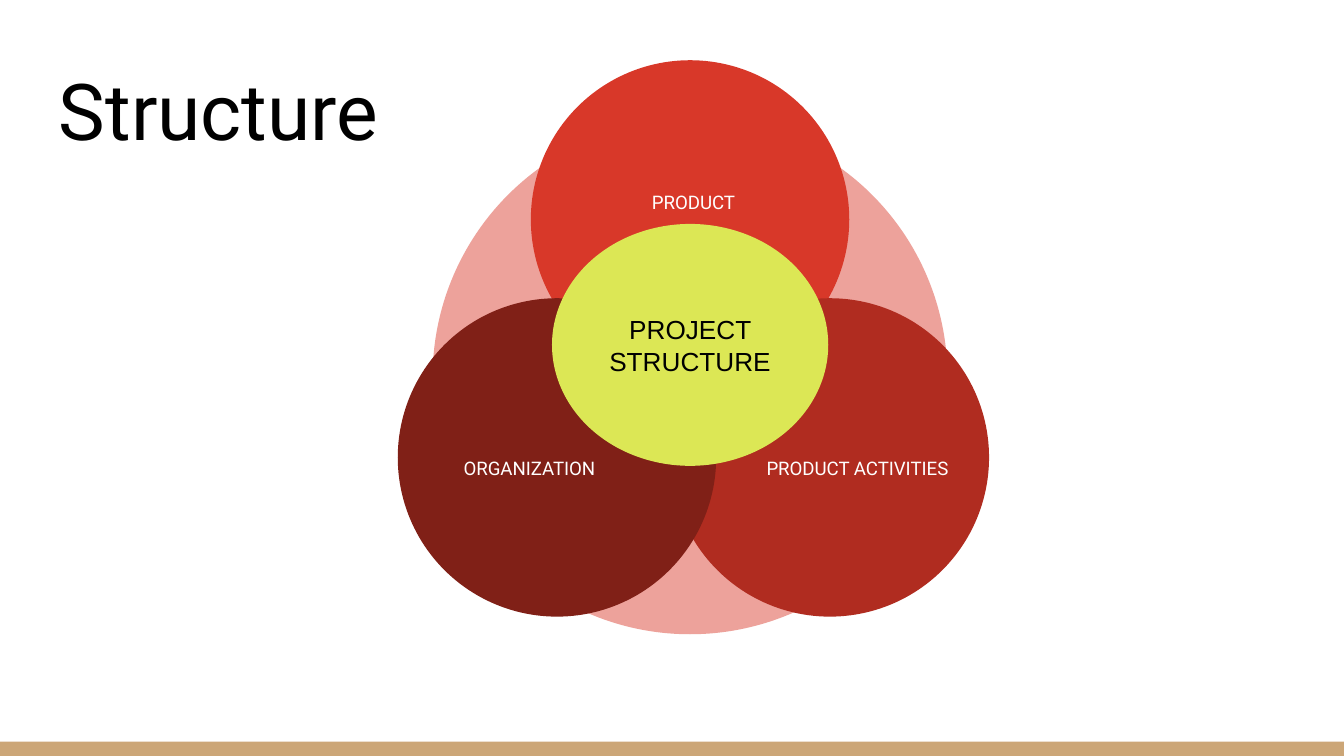
from pptx import Presentation
from pptx.dml.color import RGBColor
from pptx.enum import shapes, text
from pptx.util import Pt

WIDE, HIGH = 720, 405
PETAL = 170.6
LABEL = 118, 55.4
# name, fill, petal offset, label offset (both from the corner of the halo)
PETALS = [
    ("PRODUCT", "D83829", (52.6, -31.7), (80.7, 16.5)),
    ("PRODUCT ACTIVITIES", "B02C20", (127.5, 95.8), (168.5, 159.1)),
    ("ORGANIZATION", "802017", (-18.7, 95.8), (-7.2, 159.1)),
]


def color(code):
    return RGBColor.from_string(code)


def add_form(slide, kind, box, fill):
    form = slide.shapes.add_shape(kind, *map(Pt, box))
    form.shadow.inherit = False
    form.fill.solid()
    form.fill.fore_color.rgb = color(fill)
    form.line.fill.background()
    return form


def write(shape, words, size, font, ink, align, anchor):
    frame = shape.text_frame
    form = {"word_wrap": True, "vertical_anchor": anchor}
    form.update({f"margin_{side}": Pt(7.2) for side in ("left", "top", "right", "bottom")})
    for key, value in form.items():
        setattr(frame, key, value)
    par = frame.paragraphs[0]
    par.alignment = align
    run = par.add_run()
    run.text = words
    for key, value in {"size": Pt(size), "name": font}.items():
        setattr(run.font, key, value)
    run.font.color.rgb = color(ink)


def add_title(slide, box, words):
    title = slide.shapes.add_textbox(*map(Pt, box))
    write(title, words, 42, "Roboto", "000000",
          text.PP_ALIGN.LEFT, text.MSO_ANCHOR.BOTTOM)


def add_venn(slide, box):
    """Draw the halo in the box, then the petals and the core over it."""
    oval = shapes.MSO_SHAPE.OVAL
    mid = text.PP_ALIGN.CENTER, text.MSO_ANCHOR.MIDDLE
    left, top, wide, high = box
    add_form(slide, oval, box, "EDA29B")
    for name, fill, (dx, dy), (tx, ty) in PETALS:
        add_form(slide, oval, (left + dx, top + dy, PETAL, PETAL), fill)
        label = slide.shapes.add_textbox(*map(Pt, (left + tx, top + ty, *LABEL)))
        write(label, name, 10, "Roboto", "FFFFFF", *mid)
    core_w, core_h = 148, 129.6
    core = (left + (wide - core_w) / 2, top + 56, core_w, core_h)
    write(add_form(slide, oval, core, "DCE755"),
          "PROJECT STRUCTURE", 14, "Arial", "000000", *mid)


def main():
    deck = Presentation()
    deck.slide_width, deck.slide_height = Pt(WIDE), Pt(HIGH)
    slide = deck.slides.add_slide(deck.slide_layouts[6])
    strip = 7.7
    add_form(slide, shapes.MSO_SHAPE.RECTANGLE, (0, HIGH - strip, WIDE, strip), "CCA677")
    add_title(slide, (24.5, 25.2, 671, 65.5), "Structure")
    add_venn(slide, (231.8, 64, 275.8, 275.8))
    deck.save("out.pptx")


if __name__ == "__main__":
    main()
